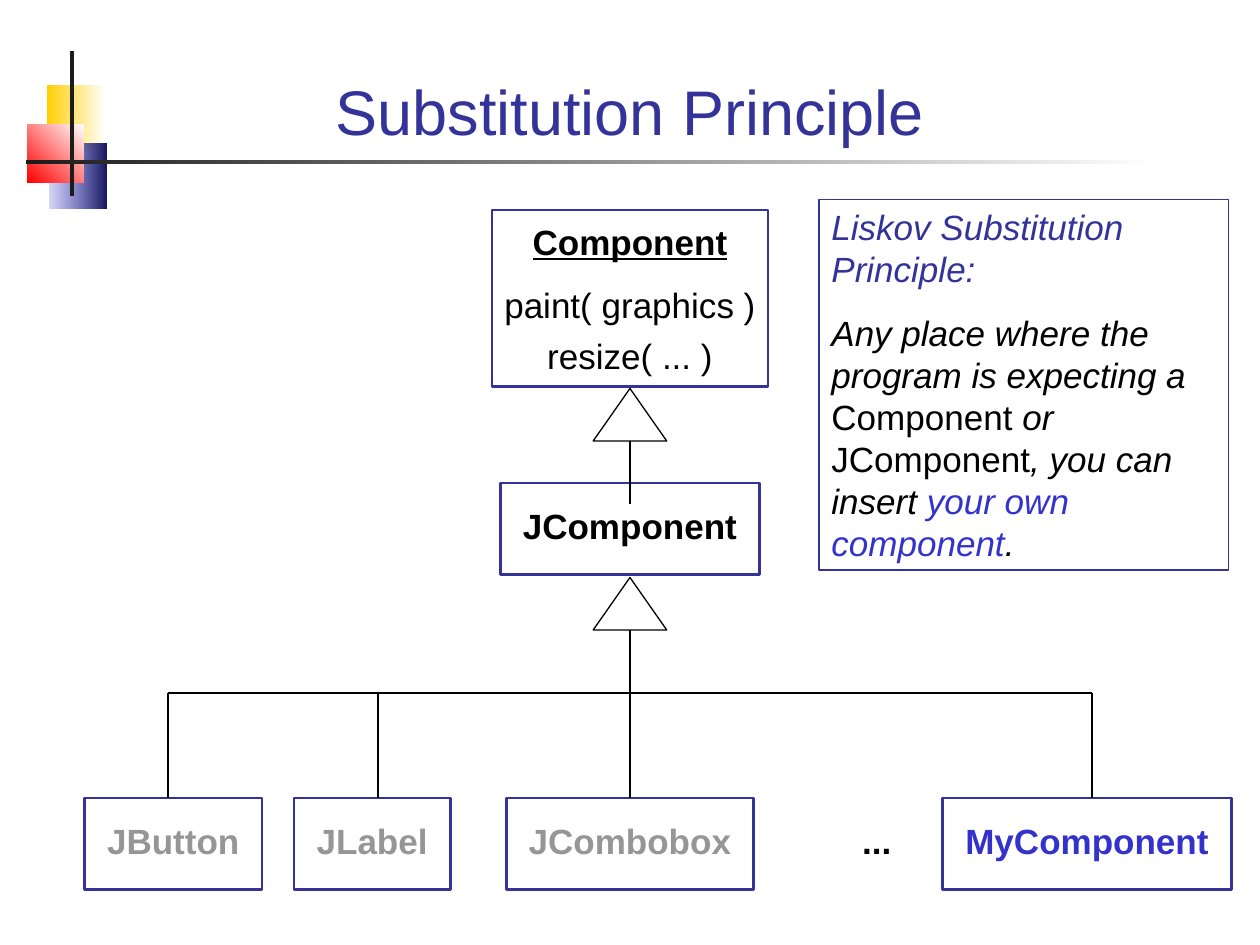
from lxml.etree import SubElement
from pptx import Presentation
from pptx.dml.color import RGBColor
from pptx.enum.shapes import MSO_CONNECTOR, MSO_SHAPE
from pptx.enum.text import MSO_ANCHOR, MSO_AUTO_SIZE, PP_ALIGN
from pptx.oxml.ns import qn
from pptx.util import Inches, Pt

COLUMNS, ROWS = 120, 90
NAVY, BLUE, GREY, BLACK, WHITE, CHARCOAL = "333399", "3333CC", "969696", "000000", "FFFFFF", "1C1C1C"
BOLD, PLAIN, ITALIC = {"bold": True}, {}, {"italic": True}
HEADING = {"bold": True, "underline": True}

TITLE = "Substitution Principle"
MOTIF = [
    ((4.45, 8.1, 5.6, 6.2), (WHITE, "FFCF01"), 180, None),
    ((4.7, 13.7, 5.4, 6.2), ("17175E", BLUE), 180, 20),
    ((2.6, 11.9, 5.4, 5.5), (WHITE, "FF0000"), 225, None),
    ((6.67, 4.85, 0.4, 13.8), (CHARCOAL, CHARCOAL), 180, None),
    ((2.5, 15.2, 107.9, 0.4), (WHITE, CHARCOAL), 180, None),
]

ROOT_METHODS = [
    (0, [("Component", BLACK, HEADING)]),
    (12.5, [("paint( graphics )", BLACK, PLAIN)]),
    (5, [("resize( ... )", BLACK, PLAIN)]),
]
PRINCIPLE = [
    (0, [("Liskov Substitution Principle:", NAVY, ITALIC)]),
    (12.5, [
        ("Any place where the program is expecting a ", BLACK, ITALIC),
        ("Component ", BLACK, PLAIN),
        ("or ", BLACK, ITALIC),
        ("JComponent", BLACK, PLAIN),
        (", you can insert ", BLACK, ITALIC),
        ("your own component", BLUE, ITALIC),
        (".", BLACK, ITALIC),
    ]),
]

TRUNK, BRANCH_ROW, LEAF_ROW, BOX_HEIGHT = 60, 66, 76, 8.75
LEAVES = [
    ("JButton", GREY, 16.5, 16.9, 16),
    ("JLabel", GREY, 35.45, 14.9, 36),
    ("JCombobox", GREY, TRUNK, 23.5, TRUNK),
    ("MyComponent", BLUE, 103.53, 27.5, 104),
    ("...", BLACK, 83.5, 9, None),
]
ARROWS = [(55, BRANCH_ROW), (37, 48)]
ARROW_WIDTH, ARROW_HEIGHT, STEM_DROP = 7, 5, 4

deck = Presentation()
deck.slide_width, deck.slide_height = Inches(10), Inches(7.5)
slide = deck.slides.add_slide(deck.slide_layouts[5])


def color(value):
    return RGBColor.from_string(value)


def x(column):
    return round(deck.slide_width * column / COLUMNS)


def y(row):
    return round(deck.slide_height * row / ROWS)


def place(left, top, width, height):
    return x(left), y(top), x(width), y(height)


def apply(target, formats):
    for name, value in formats.items():
        setattr(target, name, value)


def add_outline(preset, area, line, weight, fill=None):
    outline = slide.shapes.add_shape(preset, *place(*area))
    outline.shadow.inherit = False
    if fill:
        outline.fill.solid()
        outline.fill.fore_color.rgb = color(fill)
    else:
        outline.fill.background()
    if line:
        outline.line.color.rgb = color(line)
        outline.line.width = Pt(weight)
    else:
        outline.line.fill.background()
    return outline


def write(frame, paragraphs, align, inset, size=20, wrap=True, fit=MSO_AUTO_SIZE.SHAPE_TO_FIT_TEXT,
          anchor=MSO_ANCHOR.TOP):
    across, down = map(Inches, inset)
    apply(frame, {"word_wrap": wrap, "auto_size": fit, "vertical_anchor": anchor,
                  "margin_left": across, "margin_right": across,
                  "margin_top": down, "margin_bottom": down})
    for index, (space, pieces) in enumerate(paragraphs):
        paragraph = frame.add_paragraph() if index else frame.paragraphs[0]
        apply(paragraph, {"alignment": align, "space_before": Pt(space)})
        for words, ink, style in pieces:
            run = paragraph.add_run()
            run.text = words
            apply(run.font, {"name": "Arial", "size": Pt(size), "bold": False, "italic": False} | style)
            run.font.color.rgb = color(ink)


def add_class(name, ink, center, top, width, line=NAVY):
    box = add_outline(MSO_SHAPE.RECTANGLE, (center - width / 2, top, width, BOX_HEIGHT), line, 1.5)
    write(box.text_frame, [(0, [(name, ink, BOLD)])], PP_ALIGN.CENTER, (0.1, 0.2))


def connect(start, end):
    link = slide.shapes.add_connector(MSO_CONNECTOR.STRAIGHT, x(start[0]), y(start[1]), x(end[0]), y(end[1]))
    link.line.color.rgb = color(BLACK)
    link.line.width = Pt(1.5)
    SubElement(link._element.spPr, qn("a:effectLst"))


for area, shades, angle, opacity in MOTIF:
    block = add_outline(MSO_SHAPE.RECTANGLE, area, None, 0)
    block.fill.gradient()
    block.fill.gradient_angle = angle
    for stop, shade in zip(block.fill.gradient_stops, shades):
        stop.color.rgb = color(shade)
    if opacity:
        tint = block._element.spPr.findall(".//" + qn("a:srgbClr"))[-1]
        SubElement(tint, qn("a:alpha"), val=str(opacity * 1000))

title = slide.shapes.title
apply(title, dict(zip(("left", "top", "width", "height"), place(8, 3.3, 104, 11.4))))
write(title.text_frame, [(0, [(TITLE, NAVY, PLAIN)])], PP_ALIGN.CENTER, (0.1, 0.05), size=36,
      fit=MSO_AUTO_SIZE.NONE, anchor=MSO_ANCHOR.BOTTOM)

root = add_outline(MSO_SHAPE.RECTANGLE, (TRUNK - 13.15, 20, 26.3, 16.8), NAVY, 1.5)
write(root.text_frame, ROOT_METHODS, PP_ALIGN.CENTER, (0.05, 0.08))
add_class("JComponent", BLACK, TRUNK, 46, 24.7)

for name, ink, center, width, branch in LEAVES:
    add_class(name, ink, center, LEAF_ROW, width, NAVY if branch else None)
    if branch:
        connect((branch, LEAF_ROW), (branch, BRANCH_ROW))
branches = [leaf[-1] for leaf in LEAVES if leaf[-1]]
connect((min(branches), BRANCH_ROW), (max(branches), BRANCH_ROW))

for top, stem_end in ARROWS:
    connect((TRUNK, stem_end), (TRUNK, top + STEM_DROP))
    add_outline(MSO_SHAPE.ISOSCELES_TRIANGLE, (TRUNK - ARROW_WIDTH / 2, top, ARROW_WIDTH, ARROW_HEIGHT),
                BLACK, 0.75, WHITE)

note = add_outline(MSO_SHAPE.RECTANGLE, (78, 19, 39, 35.3), NAVY, 0.75)
write(note.text_frame, PRINCIPLE, PP_ALIGN.LEFT, (0.1, 0.05))

deck.save("out.pptx")
